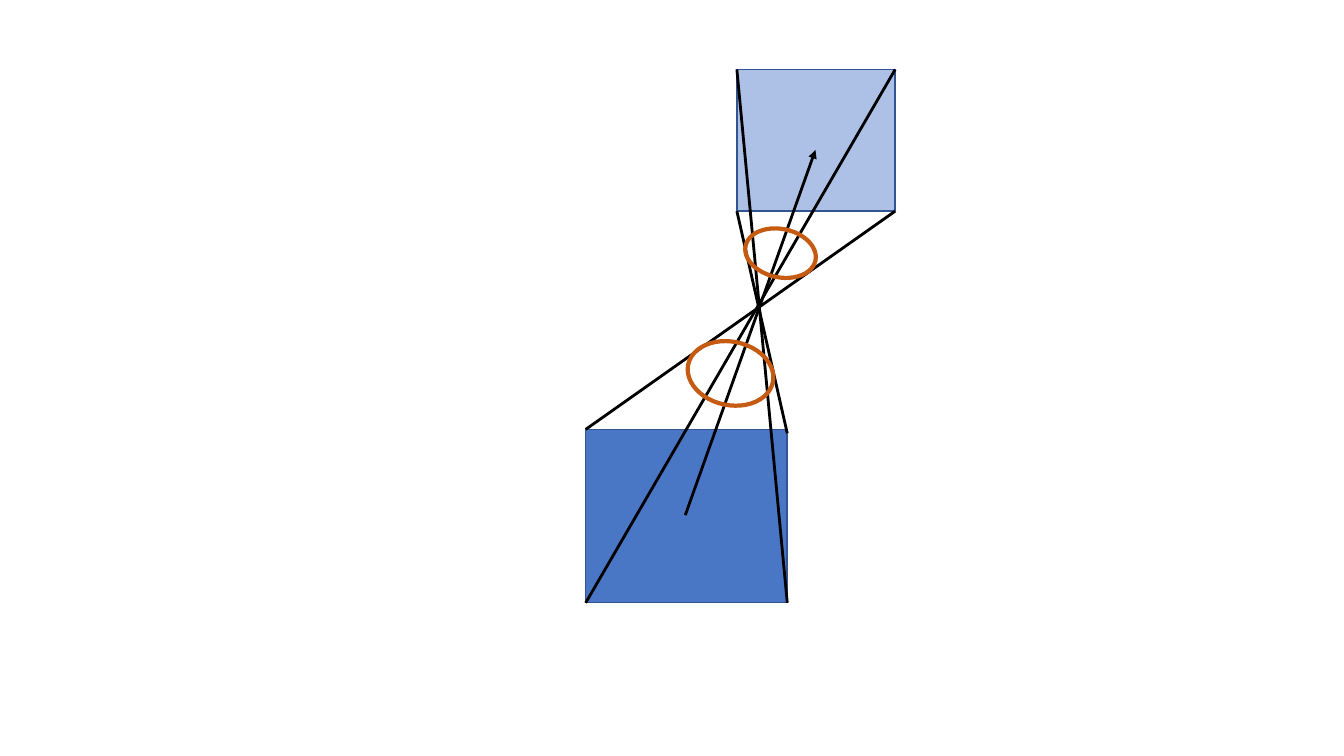
from lxml import etree
from pptx import Presentation
from pptx.dml.color import RGBColor
from pptx.enum.shapes import MSO_CONNECTOR, MSO_SHAPE
from pptx.oxml.ns import qn
from pptx.util import Cm, Pt

STRAIGHT = MSO_CONNECTOR.STRAIGHT
RECTANGLE = MSO_SHAPE.RECTANGLE
OVAL = MSO_SHAPE.OVAL

COLORS = {"plane": "4472C4", "edge": "325491", "ray": "000000", "cone": "C55A11"}

deck = Presentation()
deck.slide_width = Cm(33.87)
deck.slide_height = Cm(19.05)
page = deck.slides.add_slide(deck.slide_layouts[6])


def add_outlined(kind, left, top, width, height, color, weight):
    shape = page.shapes.add_shape(kind, Cm(left), Cm(top), Cm(width), Cm(height))
    shape.shadow.inherit = False
    shape.line.color.rgb = RGBColor.from_string(COLORS[color])
    shape.line.width = Pt(weight)
    return shape


def add_ray(start, end):
    ray = page.shapes.add_connector(STRAIGHT, *[Cm(value) for value in start + end])
    ray.line.color.rgb = RGBColor.from_string(COLORS["ray"])
    ray.line.width = Pt(2)
    etree.SubElement(ray._element.spPr, qn("a:effectLst"))
    return ray


image_left, image_top, image_width, image_height = 18.57, 1.75, 3.99, 3.57
object_left, object_top, object_width, object_height = 14.76, 10.82, 5.08, 4.37
image_right, image_bottom = image_left + image_width, image_top + image_height
object_right, object_bottom = object_left + object_width, object_top + object_height

planes = [
    (image_left, image_top, image_width, image_height, 44),
    (object_left, object_top, object_width, object_height, 97),
]
for left, top, width, height, opacity in planes:
    plane = add_outlined(RECTANGLE, left, top, width, height, "edge", 1)
    plane.fill.solid()
    plane.fill.fore_color.rgb = RGBColor.from_string(COLORS["plane"])
    color = plane._element.spPr.find(qn("a:solidFill")).find(qn("a:srgbClr"))
    etree.SubElement(color, qn("a:alpha"), val=str(opacity * 1000))

corner_rays = [
    ((image_left, image_top), (object_right, object_bottom)),
    ((image_right, image_top), (object_left, object_bottom)),
    ((image_right, image_bottom), (object_left, object_top)),
    ((image_left, image_bottom), (object_right, object_top + 0.1)),
]
for start, end in corner_rays:
    add_ray(start, end)

axis = add_ray((17.27, 12.98), (20.55, 3.78))
etree.SubElement(axis.line._get_or_add_ln(), qn("a:tailEnd"), type="triangle")

for left, top, width, height in [(17.32, 8.61, 2.18, 1.6), (18.77, 5.77, 1.8, 1.22)]:
    cone = add_outlined(OVAL, left, top, width, height, "cone", 3)
    cone.fill.background()
    cone.rotation = 11.8

deck.save("out.pptx")
